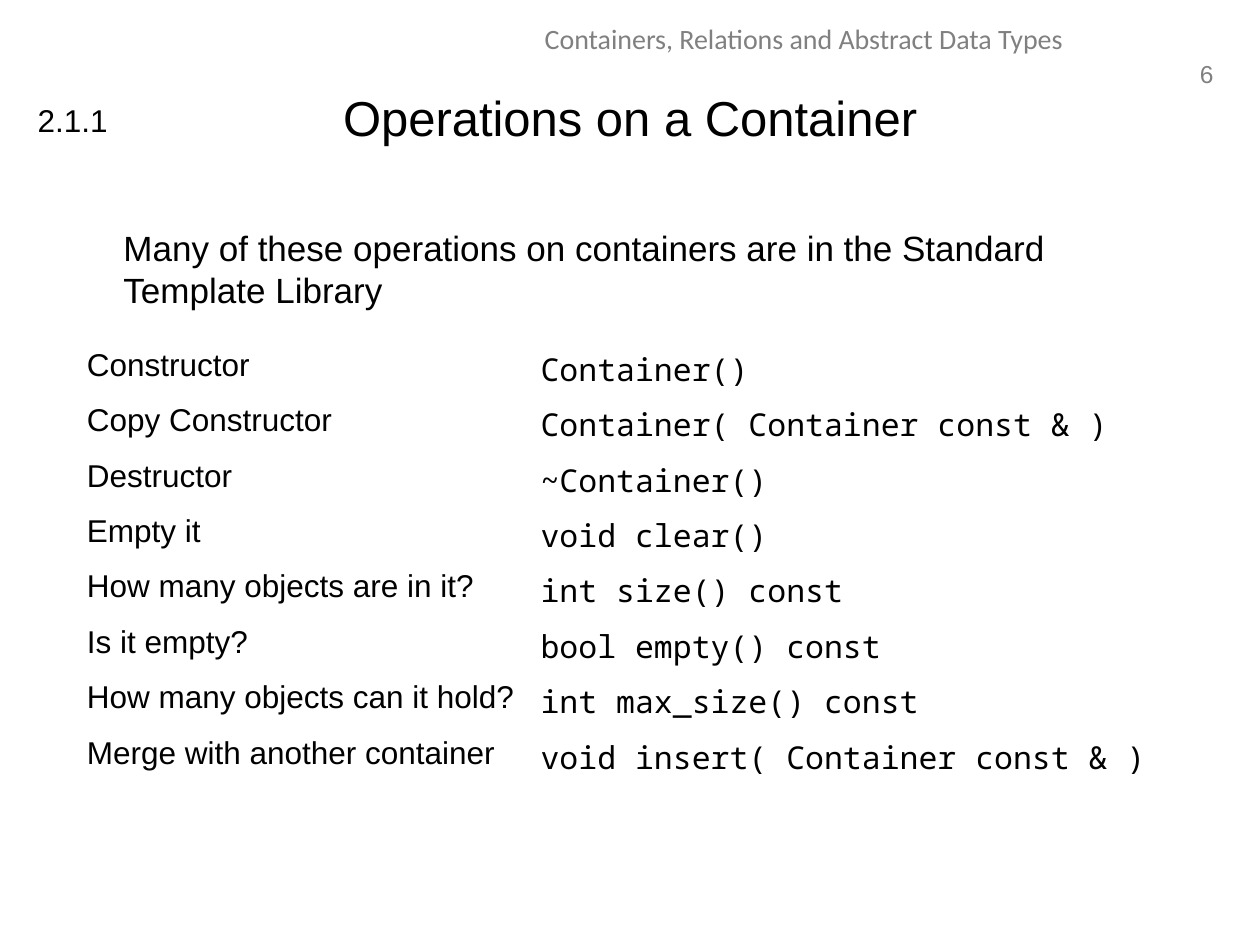
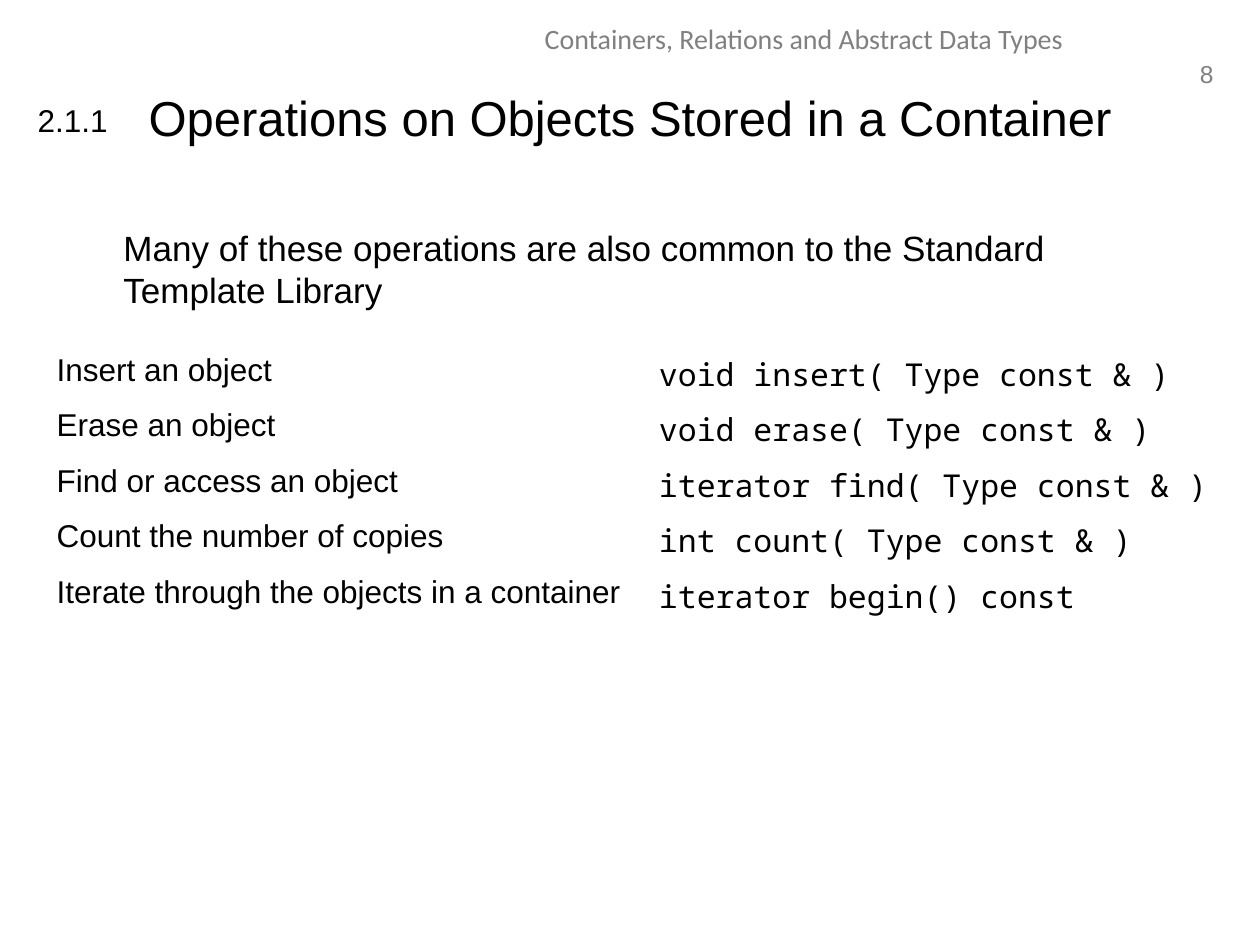
from lxml.etree import SubElement
from pptx import Presentation
from pptx.dml.color import RGBColor
from pptx.enum.text import MSO_ANCHOR, MSO_AUTO_SIZE, PP_ALIGN
from pptx.oxml.ns import qn
from pptx.util import Inches, Pt

BLACK = RGBColor(0x00, 0x00, 0x00)
GRAY = RGBColor(0x80, 0x80, 0x80)
TEXT_FONT = "Arial"
HEADER_FONT = "Calibri"
CODE_FONT = "Noto Sans Mono"

COURSE_TOPIC = "Containers, Relations and Abstract Data Types"
SECTION = "2.1.1"
ROW_HEIGHT = 0.44

CONTAINER_OPERATIONS = [
    ("Constructor", "Container()"),
    ("Copy Constructor", "Container( Container const & )"),
    ("Destructor", "~Container()"),
    ("Empty it", "void clear()"),
    ("How many objects are in it?", "int size() const"),
    ("Is it empty?", "bool empty() const"),
    ("How many objects can it hold?", "int max_size() const"),
    ("Merge with another container", "void insert( Container const & )"),
]
OBJECT_OPERATIONS = [
    ("Insert an object", "void insert( Type const & )"),
    ("Erase an object", "void erase( Type const & )"),
    ("Find or access an object", "iterator find( Type const & )"),
    ("Count the number of copies", "int count( Type const & )"),
    ("Iterate through the objects in a container", "iterator begin() const"),
]


def write(text_frame, text, size, font=TEXT_FONT, color=BLACK, align=PP_ALIGN.LEFT):
    """Put one formatted run in the first paragraph and return the paragraph."""
    paragraph = text_frame.paragraphs[0]
    paragraph.alignment = align
    run = paragraph.add_run()
    run.text = text
    run.font.size = Pt(size)
    run.font.name = font
    run.font.color.rgb = color
    return paragraph


def place(shape, left, top, width, height):
    shape.left, shape.top = Inches(left), Inches(top)
    shape.width, shape.height = Inches(width), Inches(height)


def add_label(slide, box, text, size, wrap=True, **style):
    text_box = slide.shapes.add_textbox(*map(Inches, box))
    text_box.text_frame.word_wrap = wrap
    write(text_box.text_frame, text, size, **style)


def add_header(slide, number):
    add_label(slide, (9.29, 0.42, 0.44, 0.33), str(number), 14,
              color=GRAY, align=PP_ALIGN.RIGHT)
    add_label(slide, (3.19, 0.12, 6.38, 0.4), COURSE_TOPIC, 16,
              font=HEADER_FONT, color=GRAY, align=PP_ALIGN.CENTER)
    add_label(slide, (0.2, 0.75, 0.76, 0.4), SECTION, 18, wrap=False)


def fill_title(slide, text):
    title = slide.shapes.title
    place(title, 0.5, 0.3, 9, 1.25)
    title.text_frame.auto_size = MSO_AUTO_SIZE.NONE
    title.text_frame.vertical_anchor = MSO_ANCHOR.MIDDLE
    write(title.text_frame, text, 28, align=PP_ALIGN.CENTER)


def fill_body(slide, text):
    body = slide.placeholders[1]
    place(body, 0.5, 1.75, 9, 4.95)
    body.text_frame.auto_size = MSO_AUTO_SIZE.NONE
    paragraph = write(body.text_frame, text, 20)
    paragraph.space_before = Pt(0)
    properties = paragraph._p.get_or_add_pPr()
    properties.set("marL", str(Inches(0.38)))
    properties.set("indent", "0")
    SubElement(properties, qn("a:buNone"))


def add_operations_table(slide, left, top, column_widths, operations):
    frame = slide.shapes.add_table(
        len(operations), len(column_widths), Inches(left), Inches(top),
        Inches(sum(column_widths)), Inches(ROW_HEIGHT * len(operations)))
    table = frame.table
    table.first_row = False
    table.horz_banding = False
    for column, width in zip(table.columns, column_widths):
        column.width = Inches(width)
    for row, operation in zip(table.rows, operations):
        row.height = Inches(ROW_HEIGHT)
        for cell, text, font in zip(row.cells, operation, (TEXT_FONT, CODE_FONT)):
            cell.fill.background()
            write(cell.text_frame, text, 18, font=font)


def add_operations_slide(presentation, number, title, intro, left, top,
                         column_widths, operations):
    slide = presentation.slides.add_slide(presentation.slide_layouts[1])
    add_header(slide, number)
    fill_title(slide, title)
    fill_body(slide, intro)
    add_operations_table(slide, left, top, column_widths, operations)


def main():
    presentation = Presentation()
    presentation.slide_width = Inches(10)
    presentation.slide_height = Inches(7.5)
    add_operations_slide(
        presentation, 6, "Operations on a Container",
        "Many of these operations on containers are in the Standard Template Library",
        0.59, 2.71, (3.6, 5.28), CONTAINER_OPERATIONS)
    add_operations_slide(
        presentation, 8, "Operations on Objects Stored in a Container",
        "Many of these operations are also common to the Standard Template Library",
        0.35, 2.75, (4.78, 4.64), OBJECT_OPERATIONS)
    presentation.save("out.pptx")


if __name__ == "__main__":
    main()
